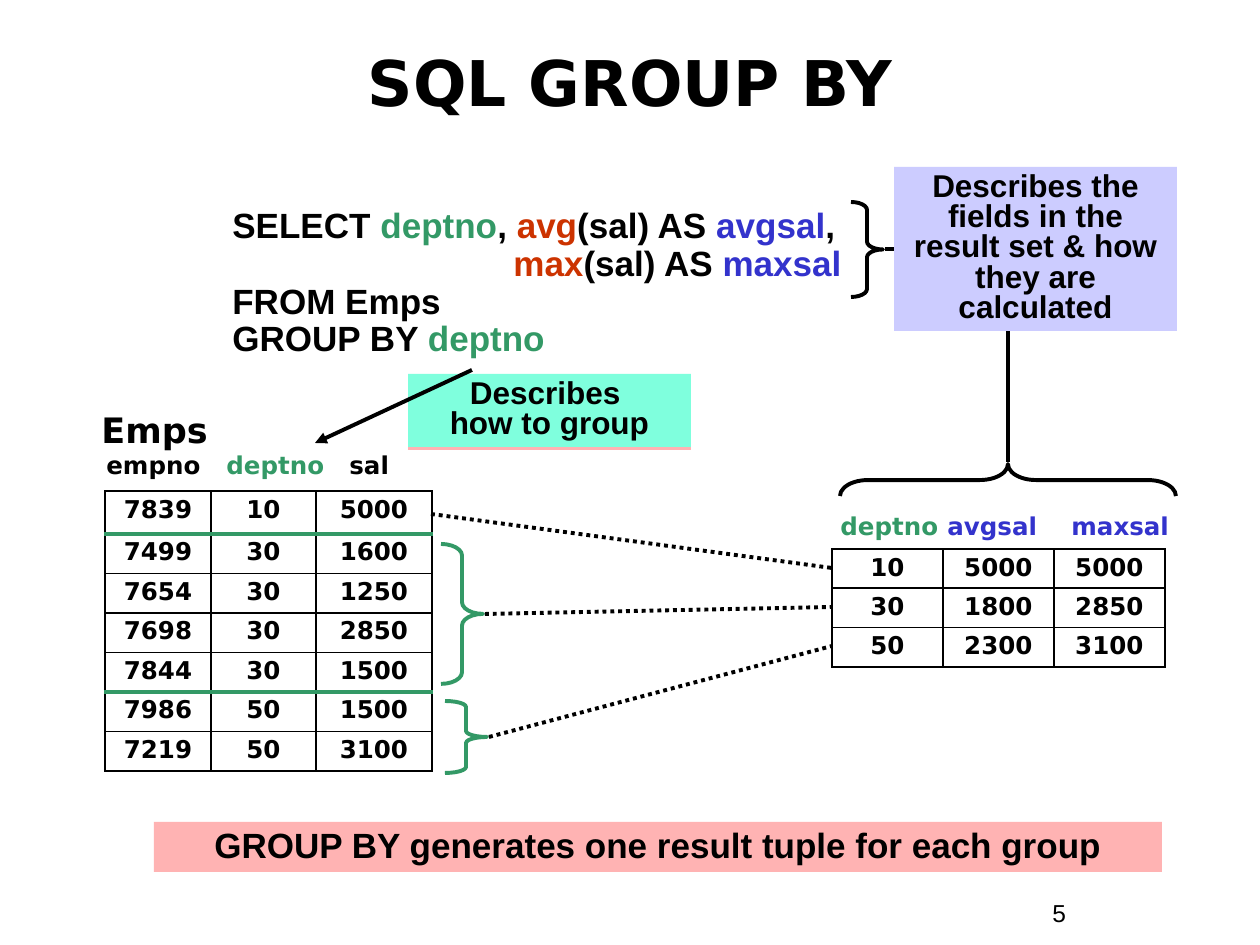
import pptx
import pptx.dml.color
import pptx.enum.dml
import pptx.enum.shapes
import pptx.enum.text
import pptx.oxml
import pptx.oxml.ns
import pptx.util
from lxml import etree

SCALE = 914400 / 126
BLACK, GREEN, RED, BLUE = "000000", "339966", "CC3300", "3333CC"
CENTER = pptx.enum.text.PP_ALIGN.CENTER
TOP = pptx.enum.text.MSO_ANCHOR.TOP
MIDDLE = pptx.enum.text.MSO_ANCHOR.MIDDLE
SHAPES = pptx.enum.shapes.MSO_SHAPE
CONNECTORS = pptx.enum.shapes.MSO_CONNECTOR
ARIAL = {"name": "Arial", "bold": True}
DEJAVU = {"name": "DejaVu Sans", "bold": True}


def px(length):
    """Turn px into EMU."""
    return pptx.util.Emu(round(length * SCALE))


def rgb(value):
    """Turn a hex string into a colour."""
    return pptx.dml.color.RGBColor.from_string(value)


def apply(target, values):
    """Set each named attribute on the target."""
    for name, value in values.items():
        setattr(target, name, value)


def add_child(parent, tag, **attributes):
    """Append a drawing element with the given attributes."""
    child = etree.SubElement(parent, pptx.oxml.ns.qn(tag))
    for name, value in attributes.items():
        child.set(name, str(value))
    return child


def write(frame, lines, size, face, layout=None, tabs=(), anchor=TOP):
    """Write lines of (text, colour) pieces into a text frame."""
    apply(frame, {"word_wrap": True, "vertical_anchor": anchor})
    for index, pieces in enumerate(lines):
        paragraph = frame.paragraphs[0] if index == 0 else frame.add_paragraph()
        apply(paragraph, layout or {})
        if tabs:
            stops = add_child(paragraph._p.get_or_add_pPr(), "a:tabLst")
            for stop in tabs:
                add_child(stops, "a:tab", pos=px(stop), algn="l")
        for text, colour in pieces:
            run = paragraph.add_run()
            run.text = text
            apply(run.font, {**face, "size": pptx.util.Pt(size)})
            run.font.color.rgb = rgb(colour)


def label(slide, box, lines, size, face, **options):
    """Add a plain text box."""
    frame = slide.shapes.add_textbox(*map(px, box)).text_frame
    write(frame, lines, size, face, **options)


def panel(slide, box, colour, lines=(), size=18, spacing=0.8):
    """Add a filled rectangle with centred bold lines."""
    shape = slide.shapes.add_shape(SHAPES.RECTANGLE, *map(px, box))
    shape.shadow.inherit = False
    shape.fill.solid()
    shape.fill.fore_color.rgb = rgb(colour)
    shape.line.fill.background()
    layout = {"alignment": CENTER, "line_spacing": spacing}
    write(shape.text_frame, [[(line, BLACK)] for line in lines], size, ARIAL, layout)


def brace(slide, box, colour, rotation=0):
    """Add a right brace whose curls take a twelfth of its length."""
    shape = slide.shapes.add_shape(SHAPES.RIGHT_BRACE, *map(px, box))
    shape.shadow.inherit = False
    shape.fill.background()
    shape.line.color.rgb = rgb(colour)
    apply(shape.line, {"width": pptx.util.Pt(2.25)})
    shape.rotation = rotation
    shape.adjustments[0] = box[3] / 12 / box[2]


def connect(slide, ends, kind=CONNECTORS.STRAIGHT, **line_format):
    """Add a black connector between two points."""
    connector = slide.shapes.add_connector(kind, *map(px, ends))
    connector.line.color.rgb = rgb(BLACK)
    apply(connector.line, {"width": pptx.util.Pt(2.25), **line_format})
    add_child(connector._element.spPr, "a:effectLst")
    return connector


def border(cell, sides):
    """Draw the cell borders given as side, colour and width."""
    properties = cell._tc.get_or_add_tcPr()
    for side, colour, width in sides:
        line = add_child(properties, f"a:ln{side}", w=pptx.util.Pt(width))
        add_child(add_child(line, "a:solidFill"), "a:srgbClr", val=colour)


def data_table(slide, box, columns, first_height, rows, group_ends=()):
    """Add a bordered table with green rules below the rows that end a group."""
    left, top, width, height = box
    frame = slide.shapes.add_table(len(rows), len(columns), *map(px, box))
    table = frame.table
    apply(table, {"first_row": False, "horz_banding": False})
    for column, column_width in zip(table.columns, columns):
        column.width = px(column_width)
    for index, values in enumerate(rows):
        rest = (height - first_height) / (len(rows) - 1)
        table.rows[index].height = px(rest if index else first_height)
        above, below = [(GREEN, 2.21) if row in group_ends else (BLACK, 1.08)
                        for row in (index - 1, index)]
        for cell, value in zip(table.rows[index].cells, values):
            border(cell, [("L", BLACK, 1.08), ("R", BLACK, 1.08),
                          ("T", *above), ("B", *below)])
            cell.fill.background()
            write(cell.text_frame, [[(str(value), BLACK)]], 14, DEJAVU,
                  {"alignment": CENTER, "line_spacing": 0.9})


def title_region(slide, box):
    """Place and format the slide title."""
    title = slide.shapes.title
    apply(title, dict(zip(("left", "top", "width", "height"), map(px, box))))
    title.text_frame.auto_size = pptx.enum.text.MSO_AUTO_SIZE.NONE
    write(title.text_frame, [[("SQL GROUP BY", BLACK)]], 36, DEJAVU,
          {"alignment": CENTER}, anchor=MIDDLE)


def query_region(slide, box):
    """Place the query with the brace around its selected fields."""
    left, top, width, height = box
    query = [
        [("SELECT ", BLACK), ("deptno", GREEN), (", ", BLACK), ("avg", RED),
         ("(sal) AS ", BLACK), ("avgsal", BLUE), (",", BLACK)],
        [("\t", BLACK), ("max", RED), ("(sal) AS ", BLACK), ("maxsal", BLUE)],
        [("FROM Emps", BLACK)],
        [("GROUP BY ", BLACK), ("deptno", GREEN)],
    ]
    label(slide, box, query, 20, ARIAL, layout={"line_spacing": 0.9}, tabs=[281])
    brace(slide, (left + 631, top, 32, 95), BLACK)


def emps_region(slide, box):
    """Place the Emps table with its headings and group braces."""
    left, top, width, height = box
    label(slide, (left, top, 294, 55), [[("Emps", BLACK)]], 20, DEJAVU)
    headings = [[("empno\t", BLACK), ("deptno\t", GREEN), ("sal", BLACK)]]
    label(slide, (left + 5, top + 42, 441, 43), headings, 14, DEJAVU, tabs=[120, 243])
    rows = [(7839, 10, 5000), (7499, 30, 1600), (7654, 30, 1250), (7698, 30, 2850),
            (7844, 30, 1500), (7986, 50, 1500), (7219, 50, 3100)]
    data_table(slide, (left + 16, top + 89, width, height - 89), (106, 105, 116),
               43, rows, group_ends=(0, 4))
    brace(slide, (left + 352, top + 142, 42, 140), GREEN)
    brace(slide, (left + 356, top + 299, 42, 72), GREEN)


def result_region(slide, box):
    """Place the result table with its headings and brace."""
    left, top, width, height = box
    headings = [[("deptno\t", GREEN), ("avgsal\tmaxsal", BLUE)]]
    label(slide, (left - 4, top, 359, 43), headings, 14, DEJAVU, tabs=[107, 231])
    data_table(slide, (left, top + 44, width, height - 44), (111, 111, 111), 39,
               [(10, 5000, 5000), (30, 1800, 2850), (50, 2300, 3100)])
    brace(slide, (left + 160, top - 193, 32, 336), BLACK, rotation=270)


def links_region(slide):
    """Link each group to its result and the fields to the result headings."""
    for ends in ((431, 514, 832, 568), (485, 614, 832, 607), (489, 737, 832, 646)):
        connect(slide, ends, dash_style=pptx.enum.dml.MSO_LINE.ROUND_DOT)
    fields_link = connect(slide, (885, 249, 1008, 462), CONNECTORS.ELBOW)
    geometry = fields_link._element.spPr.find(pptx.oxml.ns.qn("a:prstGeom"))
    geometry.set("prst", "bentConnector2")


def notes_region(slide):
    """Place the coloured explanations and the arrow to the grouping column."""
    panel(slide, (154, 822, 1008, 50), "FFB3B3",
          ["GROUP BY generates one result tuple for each group"], 20, 0.9)
    panel(slide, (408, 377, 283, 73), "FFB3B3")
    panel(slide, (894, 167, 283, 164), "CCCCFF",
          ["Describes the fields in the result set & how they are calculated"])
    panel(slide, (408, 374, 283, 73), "7FFFDD", ["Describes ", "how to group"])
    arrow = connect(slide, (472, 370, 315, 443))
    add_child(arrow.line._get_or_add_ln(), "a:tailEnd", type="triangle")


def main():
    """Build and save the slide."""
    deck = pptx.Presentation()
    apply(deck, {"slide_width": px(1260), "slide_height": px(945)})
    slide = deck.slides.add_slide(deck.slide_layouts[5])
    title_region(slide, (42, 23, 1176, 116))
    label(slide, (1040, 892, 116, 43), [[("5", BLACK)]], 14, {"name": "Arial"})
    result_region(slide, (832, 505, 333, 162))
    emps_region(slide, (89, 402, 327, 369))
    query_region(slide, (220, 202, 655, 164))
    links_region(slide)
    notes_region(slide)
    deck.save("out.pptx")


if __name__ == "__main__":
    main()
